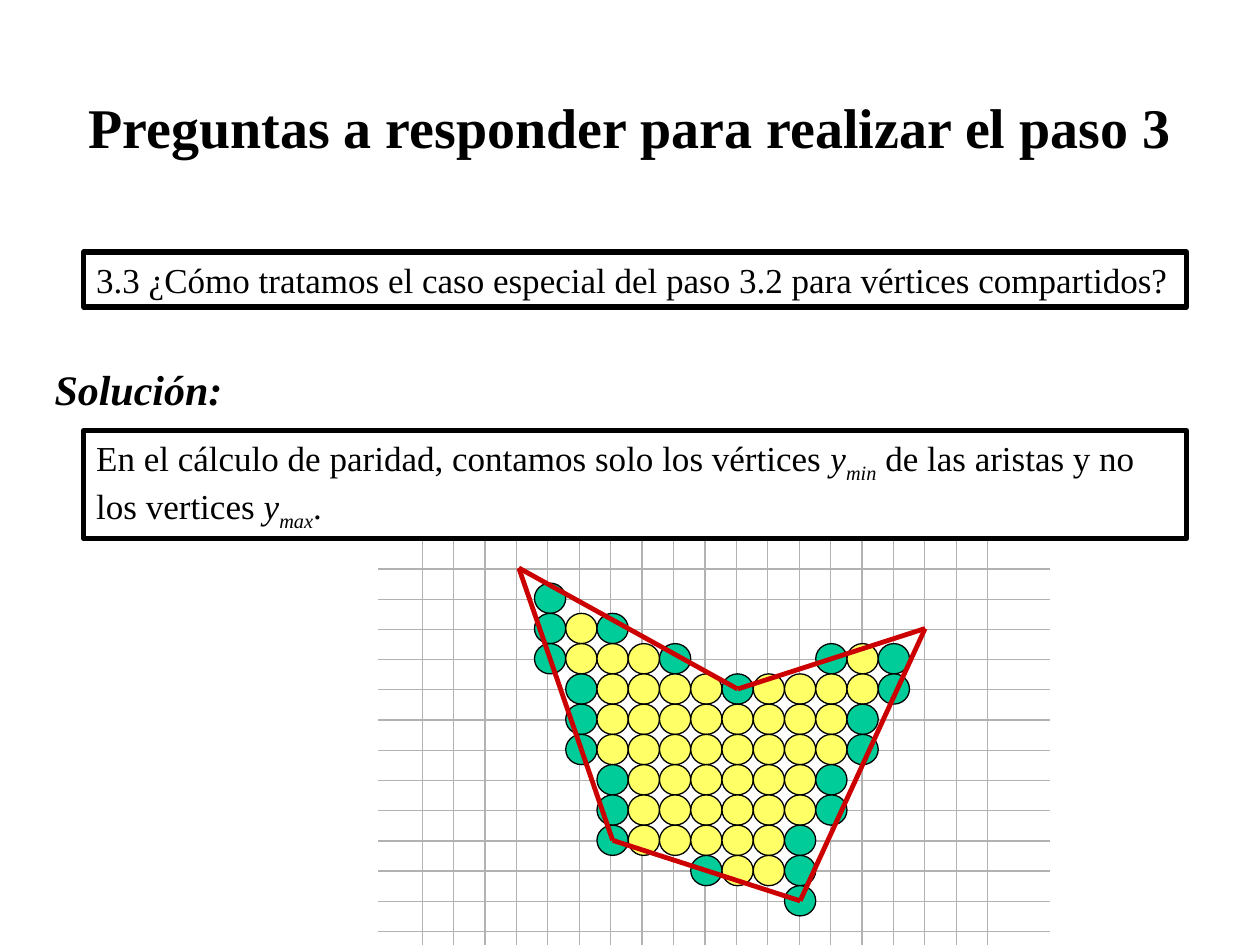
from dataclasses import dataclass
from typing import Any

from lxml.etree import SubElement
from pptx import Presentation
from pptx.dml.color import RGBColor
from pptx.enum.shapes import MSO_CONNECTOR, MSO_SHAPE
from pptx.enum.text import MSO_ANCHOR, MSO_AUTO_SIZE, PP_ALIGN
from pptx.oxml.ns import qn
from pptx.util import Cm, Pt

BLACK = RGBColor(0x00, 0x00, 0x00)
WHITE = RGBColor(0xFF, 0xFF, 0xFF)
GRAY = RGBColor(0xB2, 0xB2, 0xB2)
GREEN = RGBColor(0x00, 0xCC, 0x99)
YELLOW = RGBColor(0xFF, 0xFF, 0x66)
RED = RGBColor(0xCC, 0x00, 0x00)

PIXEL_COLORS = {"G": GREEN, "Y": YELLOW}
PIXEL_ROWS = [
    "G",
    "GYG",
    "GYYYG....GYG",
    ".GYYYYGYYYYG",
    ".GYYYYYYYYG",
    ".GYYYYYYYYG",
    "..GYYYYYYG",
    "..GYYYYYYG",
    "..GYYYYYG",
    ".....GYYG",
    "........G",
]
PIXEL_WIDTH, PIXEL_HEIGHT = 0.63, 0.61
FIRST_X, FIRST_Y = 11.09, 12.06
POLYGON = [(-1, -1), (2, 8), (8, 10), (12, 1), (6, 3)]

GRID_LEFT, GRID_RIGHT = 7.62, 21.17
GRID_TOP, GRID_BOTTOM = 9.31, 19.05
FIRST_COLUMN, LAST_COLUMN, COLUMN_GAPS = 8.51, 19.91, 18
FIRST_LINE, LAST_LINE, LINE_GAPS = 10.86, 18.78, 13


def pixel_center(column, row):
    """Return the centre in centimetres of a pixel of the raster."""
    return FIRST_X + column * PIXEL_WIDTH, FIRST_Y + row * PIXEL_HEIGHT


def spread(first, last, gaps):
    """Return equally spaced positions from first to last."""
    return [first + i * (last - first) / gaps for i in range(gaps + 1)]


@dataclass
class SlideBuilder:
    """Draw styled elements on the current slide."""

    slide: Any
    font: str = "Times New Roman"

    def format_run(self, run, size, bold=False, italic=False):
        """Apply the slide's font to a run."""
        run.font.name = self.font
        run.font.size = Pt(size)
        run.font.bold = bold
        run.font.italic = italic
        run.font.color.rgb = BLACK

    def title(self, text, left, top, width, height):
        """Fill and place the title placeholder."""
        title = self.slide.shapes.title
        title.left, title.top, title.width, title.height = map(Cm, (left, top, width, height))
        frame = title.text_frame
        frame.text = text
        frame.auto_size = MSO_AUTO_SIZE.NONE
        frame.vertical_anchor = MSO_ANCHOR.MIDDLE
        frame.paragraphs[0].alignment = PP_ALIGN.CENTER
        self.format_run(frame.paragraphs[0].runs[0], 32, bold=True)

    def label(self, text, left, top, width, height):
        """Add a bold italic heading."""
        label = self.slide.shapes.add_textbox(*map(Cm, (left, top, width, height)))
        frame = label.text_frame
        frame.word_wrap = True
        frame.text = text
        frame.paragraphs[0].space_before = Pt(15)
        self.format_run(frame.paragraphs[0].runs[0], 24, bold=True, italic=True)

    def box(self, pieces, left, top, width, height, fill=None):
        """Add a framed box from (text, is_symbol, is_subscript) pieces."""
        box = self.slide.shapes.add_shape(MSO_SHAPE.RECTANGLE, *map(Cm, (left, top, width, height)))
        box.shadow.inherit = False
        if fill is None:
            box.fill.background()
        else:
            box.fill.solid()
            box.fill.fore_color.rgb = fill
        box.line.color.rgb = BLACK
        box.line.width = Pt(3)
        frame = box.text_frame
        frame.word_wrap = True
        frame.vertical_anchor = MSO_ANCHOR.TOP
        paragraph = frame.paragraphs[0]
        paragraph.alignment = PP_ALIGN.LEFT
        paragraph.space_after = Pt(10)
        for text, is_symbol, is_subscript in pieces:
            run = paragraph.add_run()
            run.text = text
            self.format_run(run, 20, italic=is_symbol)
            if is_subscript:
                run.font._element.set("baseline", "-25000")

    def group(self):
        """Add an empty group and return it."""
        return self.slide.shapes.add_group_shape()

    def line(self, group, start, end, color, width):
        """Add a straight line to a group."""
        line = group.shapes.add_connector(MSO_CONNECTOR.STRAIGHT, *map(Cm, (*start, *end)))
        line.line.color.rgb = color
        line.line.width = Pt(width)
        SubElement(line._element.spPr, qn("a:effectLst"))

    def pixel(self, group, column, row, color):
        """Add one round pixel to a group."""
        x, y = pixel_center(column, row)
        pixel = group.shapes.add_shape(
            MSO_SHAPE.OVAL,
            Cm(x - PIXEL_WIDTH / 2), Cm(y - PIXEL_HEIGHT / 2),
            Cm(PIXEL_WIDTH), Cm(PIXEL_HEIGHT),
        )
        pixel.shadow.inherit = False
        pixel.fill.solid()
        pixel.fill.fore_color.rgb = color
        pixel.line.color.rgb = BLACK
        pixel.line.width = Pt(0.75)


def main():
    """Build the slide and save it."""
    presentation = Presentation()
    presentation.slide_width, presentation.slide_height = Cm(25.4), Cm(19.05)
    builder = SlideBuilder(presentation.slides.add_slide(presentation.slide_layouts[5]))

    builder.title("Preguntas a responder para realizar el paso 3", 0, 1.27, 25.4, 2.54)
    question = "3.3 ¿Cómo tratamos el caso especial del paso 3.2 para vértices compartidos?"
    builder.box([(question, False, False)], 1.69, 5.08, 22.23, 1.11)
    builder.label("Solución:", 0.85, 7.2, 7.83, 1.27)

    raster = builder.group()
    for x in spread(FIRST_COLUMN, LAST_COLUMN, COLUMN_GAPS):
        builder.line(raster, (x, GRID_TOP), (x, GRID_BOTTOM), GRAY, 0.75)
    for y in spread(FIRST_LINE, LAST_LINE, LINE_GAPS):
        builder.line(raster, (GRID_LEFT, y), (GRID_RIGHT, y), GRAY, 0.75)
    for row, codes in enumerate(PIXEL_ROWS):
        for column, code in enumerate(codes):
            if code in PIXEL_COLORS:
                builder.pixel(raster, column, row, PIXEL_COLORS[code])
    for start, end in zip(POLYGON, POLYGON[1:] + POLYGON[:1]):
        builder.line(raster, pixel_center(*start), pixel_center(*end), RED, 2.75)

    answer = [
        ("En el cálculo de paridad, contamos solo los vértices ", False, False),
        ("y", True, False),
        ("min", True, True),
        (" de las aristas y no los vertices ", False, False),
        ("y", True, False),
        ("max", True, True),
        (".", False, False),
    ]
    builder.box(answer, 1.69, 8.68, 22.23, 2.18, WHITE)
    presentation.save("out.pptx")


if __name__ == "__main__":
    main()
